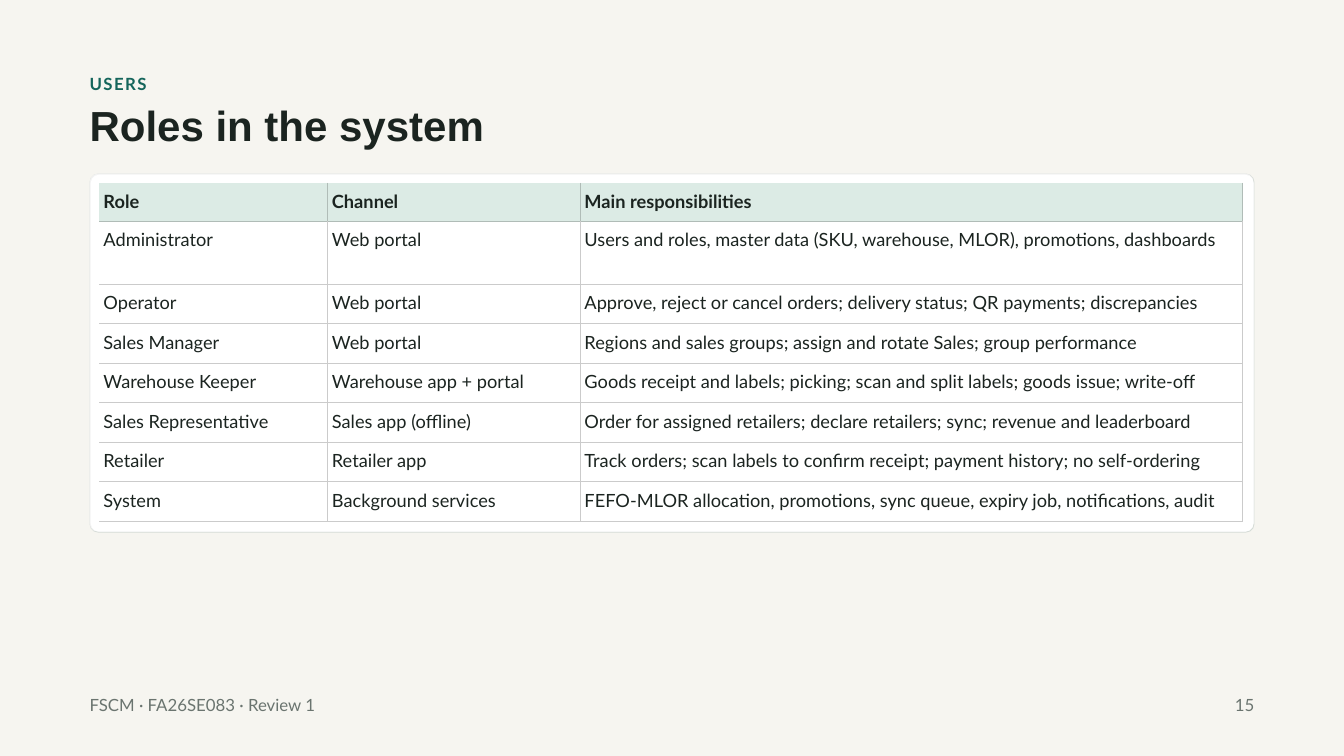
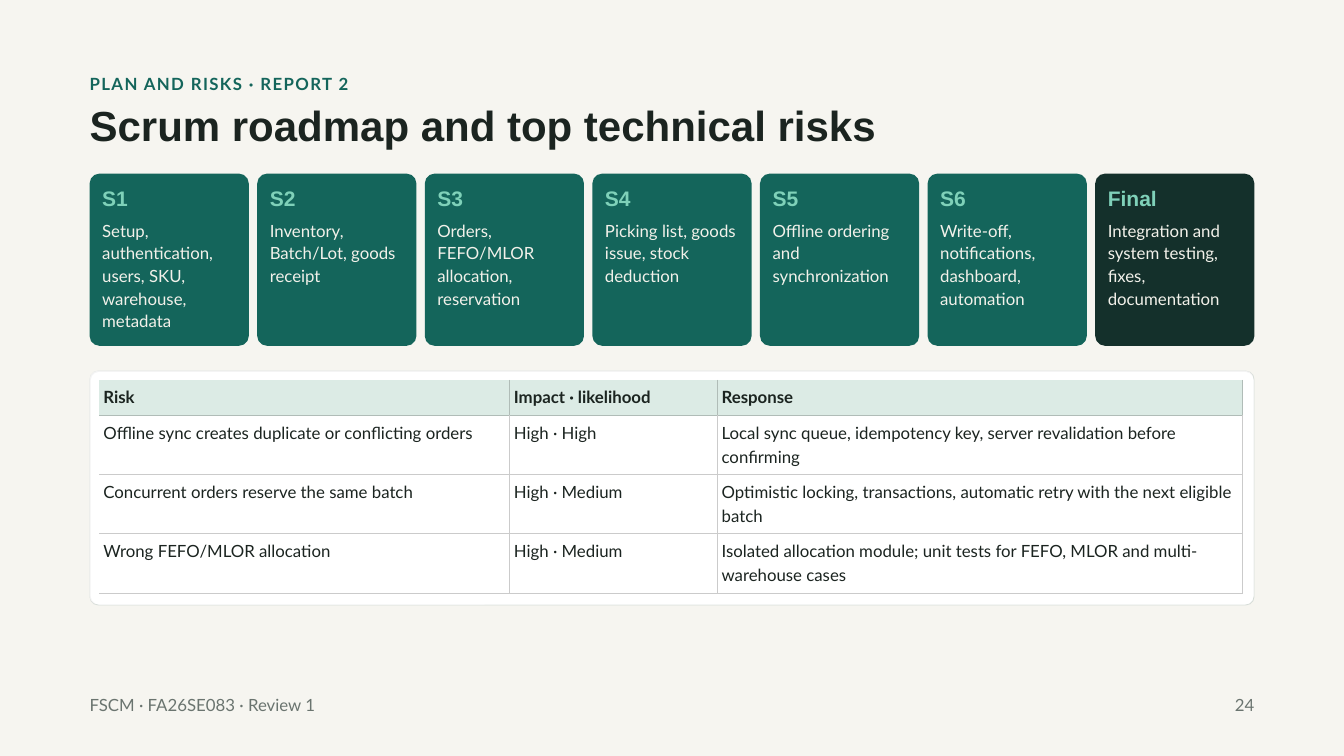
from pptx import Presentation
from pptx import util as u
from pptx.dml.color import RGBColor
from pptx.enum import shapes, text
from pptx.oxml import ns
from lxml import etree

WIDTH, HEIGHT = 20, 11.25
COLUMNS = 240
CELL = u.Inches(WIDTH) / COLUMNS
MARGIN, CONTENT = 16, 208
CONTENT_TOP = 31

PAPER, INK, WHITE = "F6F5F0", "1B2420", "FFFFFF"
GREEN, DARK, MINT, CREAM = "14655B", "14302B", "7FD1B9", "F2F1EA"
MUTED, HEAD_FILL = "6A746F", "DCEBE5"
HEAD_RULE, RULE = "B0BCB7", "CBCBCB"
EDGE_SHADE, EDGE_LIGHT = "D5DCD7", "F3F3F3"
HEADING, BODY = "Arial", "Lato"


def color(value):
    return RGBColor.from_string(value)


def grid(*steps):
    return [u.Emu(round(step * CELL)) for step in steps]


def write(frame, words, font=BODY, size=18, fill=INK, bold=False,
          leading=25.2, align=text.PP_ALIGN.LEFT, tracking=None):
    para = frame.paragraphs[0]
    para.alignment = align
    para.line_spacing = u.Pt(leading)
    span = para.add_run()
    span.text = words
    span.font.name = font
    span.font.size = u.Pt(size)
    span.font.bold = bold
    span.font.color.rgb = color(fill)
    if tracking:
        span._r.get_or_add_rPr().set("spc", str(round(tracking * 100)))


def add_border(cell, side, rule):
    line = etree.SubElement(cell._tc.get_or_add_tcPr(), ns.qn(f"a:ln{side}"))
    if rule is None:
        line.set("w", "0")
        etree.SubElement(line, ns.qn("a:noFill"))
        return
    line.set("w", str(u.Pt(1)))
    solid = etree.SubElement(line, ns.qn("a:solidFill"))
    etree.SubElement(solid, ns.qn("a:srgbClr")).set("val", rule)


class Board:
    def __init__(self):
        self.deck = Presentation()
        self.deck.slide_width = u.Inches(WIDTH)
        self.deck.slide_height = u.Inches(HEIGHT)
        paper = self.deck.slide_master.background.fill
        paper.solid()
        paper.fore_color.rgb = color(PAPER)
        self.page = None

    def start(self, section, title, number):
        self.page = self.deck.slides.add_slide(self.deck.slide_layouts[5])
        self.label(section, MARGIN, 12.5, 214.2, 5.1,
                   fill=GREEN, bold=True, tracking=1.5)
        heading = self.page.shapes.title
        heading.left, heading.top, heading.width, heading.height = grid(
            MARGIN, 18.5, 214.2, 8.5)
        self.fit(heading.text_frame)
        write(heading.text_frame, title, font=HEADING, size=45, bold=True,
              leading=49.5)
        self.label("FSCM · FA26SE083 · Review 1", MARGIN, 123.4, 116, 5.1,
                   fill=MUTED)
        self.label(str(number), 198, 123.4, 26, 5.1, fill=MUTED,
                   align=text.PP_ALIGN.RIGHT)

    def fit(self, frame):
        frame.word_wrap = True
        frame.auto_size = text.MSO_AUTO_SIZE.SHAPE_TO_FIT_TEXT
        frame.vertical_anchor = text.MSO_ANCHOR.TOP
        frame.margin_left = frame.margin_right = 0
        frame.margin_top = frame.margin_bottom = 0

    def label(self, words, left, top, width, height, **style):
        box = self.page.shapes.add_textbox(*grid(left, top, width, height))
        self.fit(box.text_frame)
        write(box.text_frame, words, **style)

    def panel(self, left, top, width, height, fill, radius):
        box = self.page.shapes.add_shape(
            shapes.MSO_SHAPE.ROUNDED_RECTANGLE,
            *grid(left, top, width, height))
        box.adjustments[0] = radius / min(width, height)
        box.shadow.inherit = False
        box.fill.solid()
        box.fill.fore_color.rgb = color(fill)
        box.line.fill.background()

    def table(self, top, height, columns, rows, records, **style):
        for fill, start, end in ((EDGE_SHADE, 0, 0), (EDGE_LIGHT, 0, 0.15),
                                 (WHITE, 0.2, 0.15)):
            self.panel(MARGIN + start, top + start, CONTENT - start - end,
                       height - start - end, fill, 1.5)
        table = self.page.shapes.add_table(
            len(rows), len(columns),
            *grid(17.75, top + 1.65, sum(columns), sum(rows))).table
        table.first_row = table.horz_banding = False
        for column, width in zip(table.columns, grid(*columns)):
            column.width = width
        for row, height in zip(table.rows, grid(*rows)):
            row.height = height
        for r, record in enumerate(records):
            for c, words in enumerate(record):
                self.cell(table.cell(r, c), words, r, c, style)

    def cell(self, cell, words, row, column, style):
        head = row == 0
        rule = HEAD_RULE if head else RULE
        above = (None, HEAD_RULE)[row] if row < 2 else RULE
        for side, shade in (("L", rule if column else None), ("R", rule),
                            ("T", above), ("B", rule)):
            add_border(cell, side, shade)
        if head:
            cell.fill.solid()
            cell.fill.fore_color.rgb = color(HEAD_FILL)
        else:
            cell.fill.background()
        cell.margin_left = cell.margin_right = u.Inches(0.06)
        cell.margin_top = cell.margin_bottom = u.Inches(0.06)
        write(cell.text_frame, words, bold=head, **style)

    def sprints(self, plan):
        gap = 1.5
        width = (CONTENT - gap * (len(plan) - 1)) / len(plan)
        for index, (name, scope, lines) in enumerate(plan):
            left = MARGIN + index * (width + gap)
            fill = DARK if index == len(plan) - 1 else GREEN
            self.panel(left, CONTENT_TOP, width, 30.75, fill, 1.75)
            self.label(name, left + 2.25, 32.4, 25, 6.5, font=HEADING,
                       size=22.5, fill=MINT, bold=True, leading=31.5)
            self.label(scope, left + 2.25, 38.9, 25, lines * 4.05 + 0.9,
                       fill=CREAM, leading=24.3)


ROLES = [
    ("Role", "Channel", "Main responsibilities"),
    ("Administrator", "Web portal",
     "Users and roles, master data (SKU, warehouse, MLOR), promotions, dashboards"),
    ("Operator", "Web portal",
     "Approve, reject or cancel orders; delivery status; QR payments; discrepancies"),
    ("Sales Manager", "Web portal",
     "Regions and sales groups; assign and rotate Sales; group performance"),
    ("Warehouse Keeper", "Warehouse app + portal",
     "Goods receipt and labels; picking; scan and split labels; goods issue; write-off"),
    ("Sales Representative", "Sales app (offline)",
     "Order for assigned retailers; declare retailers; sync; revenue and leaderboard"),
    ("Retailer", "Retailer app",
     "Track orders; scan labels to confirm receipt; payment history; no self-ordering"),
    ("System", "Background services",
     "FEFO-MLOR allocation, promotions, sync queue, expiry job, notifications, audit"),
]

SPRINTS = [
    ("S1", "Setup, authentication, users, SKU, warehouse, metadata", 5),
    ("S2", "Inventory, Batch/Lot, goods receipt", 3),
    ("S3", "Orders, FEFO/MLOR allocation, reservation", 4),
    ("S4", "Picking list, goods issue, stock deduction", 3),
    ("S5", "Offline ordering and synchronization", 3),
    ("S6", "Write-off, notifications, dashboard, automation", 4),
    ("Final", "Integration and system testing, fixes, documentation", 4),
]

RISKS = [
    ("Risk", "Impact · likelihood", "Response"),
    ("Offline sync creates duplicate or conflicting orders", "High · High",
     "Local sync queue, idempotency key, server revalidation before confirming"),
    ("Concurrent orders reserve the same batch", "High · Medium",
     "Optimistic locking, transactions, automatic retry with the next eligible batch"),
    ("Wrong FEFO/MLOR allocation", "High · Medium",
     "Isolated allocation module; unit tests for FEFO, MLOR and multi-warehouse cases"),
]


def main():
    board = Board()

    board.start("USERS", "Roles in the system", 15)
    board.table(CONTENT_TOP, 64.1, [40.8, 45.1, 118.2],
                [6.8, 11.3] + [7.05] * 6, ROLES, size=19.5, leading=27.3)

    board.start("PLAN AND RISKS · REPORT 2",
                "Scrum roadmap and top technical risks", 24)
    board.sprints(SPRINTS)
    board.table(66.2, 41.9, [73.3, 37.1, 93.8], [6.35] + [10.56] * 3, RISKS)

    board.deck.save("out.pptx")


if __name__ == "__main__":
    main()
